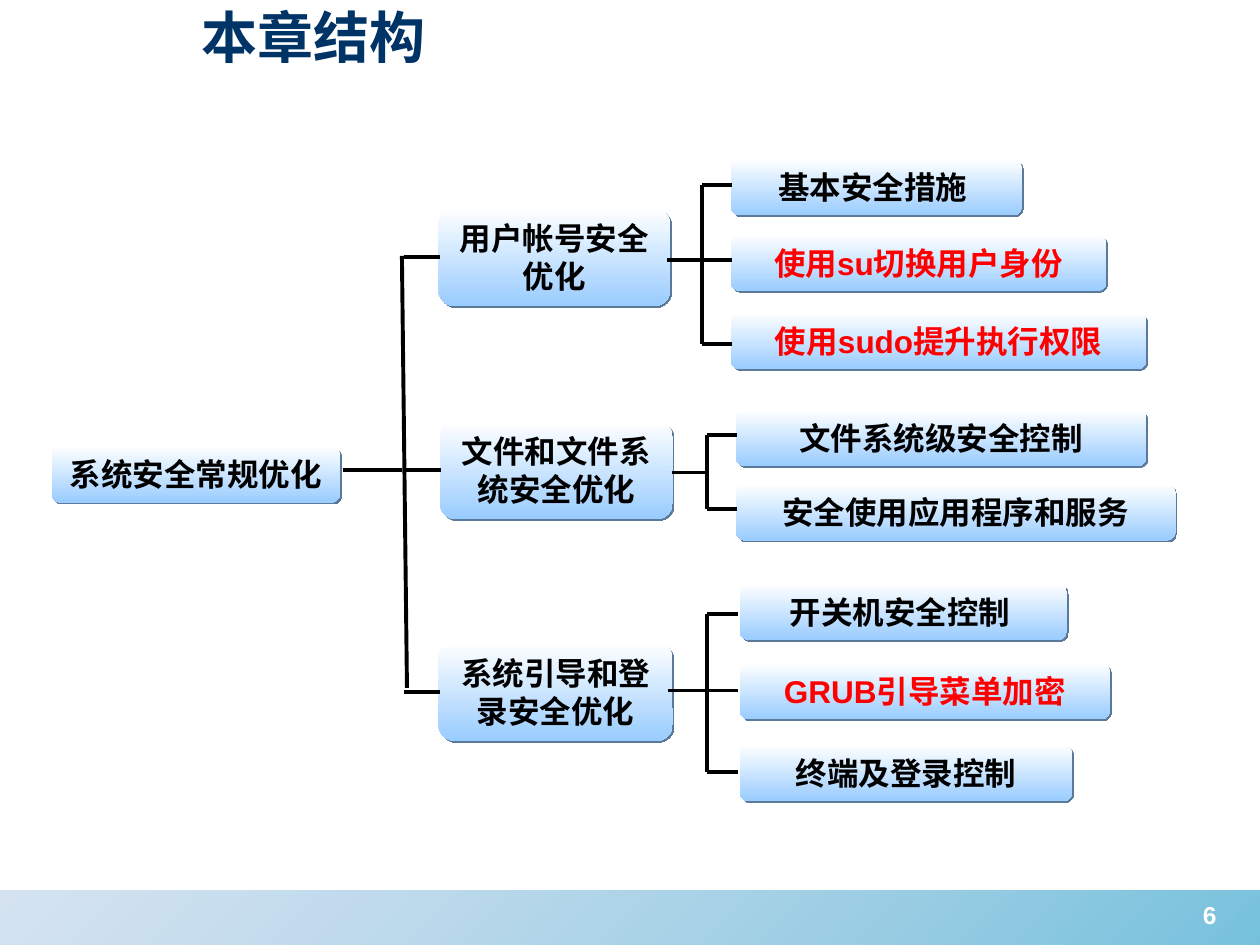
from lxml import etree
from pptx import Presentation
from pptx import util as u
from pptx.dml.color import RGBColor
from pptx.enum import shapes, text
from pptx.oxml.ns import qn

COLORS = {
    "title": "003366",
    "ink": "000000",
    "key": "FF0000",
    "white": "FFFFFF",
    "box": "99CCFF",
    "shadow": "5B7998",
    "bar_right": "1C99C6",
    "bar_left": "88B0D8",
}
FONT = "Arial"
LEAF_HEIGHT = 0.45
BRANCH_HEIGHT = 0.78

ROOT = ("系统安全常规优化", 0.41, 3.54, 2.29)

BRANCHES = [
    {"box": ("用户帐号安全优化", 3.48, 1.65, 1.84), "entry": (3.21, 2.04),
     "stem": (5.29, 2.06, 5.57), "tick_end": 5.81, "leaf_left": 5.8,
     "leaves": [("基本安全措施 ", 1.26, 2.31, "ink", 1.47),
                ("使用su切换用户身份", 1.86, 2.98, "key", 2.06),
                ("使用sudo提升执行权限", 2.48, 3.3, "key", 2.73)]},
    {"box": ("文件和文件系统安全优化", 3.49, 3.34, 1.85), "entry": (3.22, 3.73),
     "stem": (5.33, 3.75, 5.61), "tick_end": 5.85, "leaf_left": 5.84,
     "leaves": [("文件系统级安全控制", 3.25, 3.26, "ink", 3.45),
                ("安全使用应用程序和服务", 3.84, 3.49, "ink", 4.04)]},
    {"box": ("系统引导和登录安全优化", 3.48, 5.1, 1.86), "entry": (3.21, 5.49),
     "stem": (5.3, 5.48, 5.61), "tick_end": 5.86, "leaf_left": 5.87,
     "leaves": [("开关机安全控制 ", 4.63, 2.6, "ink", 4.87),
                ("GRUB引导菜单加密", 5.26, 2.94, "key", 5.48),
                ("终端及登录控制", 5.91, 2.64, "ink", 6.13)]},
]


def color(name):
    return RGBColor.from_string(COLORS[name])


def inches(*values):
    return [u.Inches(value) for value in values]


def fill_gradient(shape, names, angle, alphas=()):
    shape.fill.gradient()
    shape.fill.gradient_angle = angle
    stops = shape.fill.gradient_stops
    for stop, name, position in zip(stops, names, (0, 1)):
        stop.color.rgb = color(name)
        stop.position = position
    for node, alpha in zip(shape.element.spPr.iter(qn("a:srgbClr")), alphas):
        etree.SubElement(node, qn("a:alpha")).set("val", str(alpha * 1000))


def add_edge_shadow(shape):
    effects = shape.element.spPr.find(qn("a:effectLst"))
    shadow = etree.SubElement(effects, qn("a:outerShdw"), blurRad="0",
                              dist=str(u.Pt(1.4)), dir="2700000",
                              algn="ctr", rotWithShape="0")
    etree.SubElement(shadow, qn("a:srgbClr"), val=COLORS["shadow"])


def set_text(shape, words, size, ink, align, anchor):
    frame = shape.text_frame
    frame.word_wrap = True
    frame.vertical_anchor = anchor
    paragraph = frame.paragraphs[0]
    paragraph.text = words
    paragraph.alignment = align
    paragraph.font.size = u.Pt(size)
    paragraph.font.bold = True
    paragraph.font.name = FONT
    paragraph.font.color.rgb = color(ink)


def add_plain_shape(slide, kind, left, top, width, height):
    shape = slide.shapes.add_shape(kind, *inches(left, top, width, height))
    shape.shadow.inherit = False
    shape.line.fill.background()
    return shape


def add_box(slide, words, left, top, width, height, ink="ink"):
    box = add_plain_shape(slide, shapes.MSO_SHAPE.ROUNDED_RECTANGLE,
                          left, top, width, height)
    fill_gradient(box, ("white", "box"), 270)
    add_edge_shadow(box)
    set_text(box, words, 18, ink, text.PP_ALIGN.CENTER, text.MSO_ANCHOR.MIDDLE)


def add_line(slide, x1, y1, x2, y2):
    line = slide.shapes.add_connector(shapes.MSO_CONNECTOR.STRAIGHT,
                                      *inches(x1, y1, x2, y2))
    line.line.width = u.Pt(2.24)
    line.line.color.rgb = color("ink")
    etree.SubElement(line.element.spPr, qn("a:effectLst"))


def add_label(slide, words, area, size, ink, align, anchor):
    label = slide.shapes.add_textbox(*inches(*area))
    set_text(label, words, size, ink, align, anchor)


def add_footer_bar(slide):
    bar = add_plain_shape(slide, shapes.MSO_SHAPE.RECTANGLE, 0, 7.07, 10, 0.43)
    fill_gradient(bar, ("bar_right", "bar_left"), 135, (60, 35))


def add_branch(slide, branch):
    words, left, top, width = branch["box"]
    add_box(slide, words, left, top, width, BRANCH_HEIGHT)
    entry_x, entry_y = branch["entry"]
    add_line(slide, entry_x, entry_y, entry_x + 0.28, entry_y)
    stem_x, stem_y, spine_x = branch["stem"]
    add_line(slide, stem_x, stem_y, spine_x, stem_y)
    ticks = [leaf[-1] for leaf in branch["leaves"]]
    add_line(slide, spine_x, ticks[0], spine_x, ticks[-1])
    for words, top, width, ink, tick in branch["leaves"]:
        add_box(slide, words, branch["leaf_left"], top, width, LEAF_HEIGHT, ink)
        add_line(slide, spine_x, tick, branch["tick_end"], tick)


def main():
    presentation = Presentation()
    presentation.slide_width, presentation.slide_height = inches(10, 7.5)
    slide = presentation.slides.add_slide(presentation.slide_layouts[6])
    add_footer_bar(slide)
    add_label(slide, "本章结构", (1.5, -0.03, 8.07, 0.64), 32, "title",
              text.PP_ALIGN.LEFT, text.MSO_ANCHOR.MIDDLE)
    add_box(slide, *ROOT, LEAF_HEIGHT)
    add_line(slide, 2.72, 3.73, 3.19, 3.73)
    add_line(slide, 3.19, 2.03, 3.23, 5.46)
    for branch in BRANCHES:
        add_branch(slide, branch)
    add_label(slide, "6", (9.24, 7.09, 0.72, 0.52), 14, "white",
              text.PP_ALIGN.CENTER, text.MSO_ANCHOR.TOP)
    presentation.save("out.pptx")


main()
